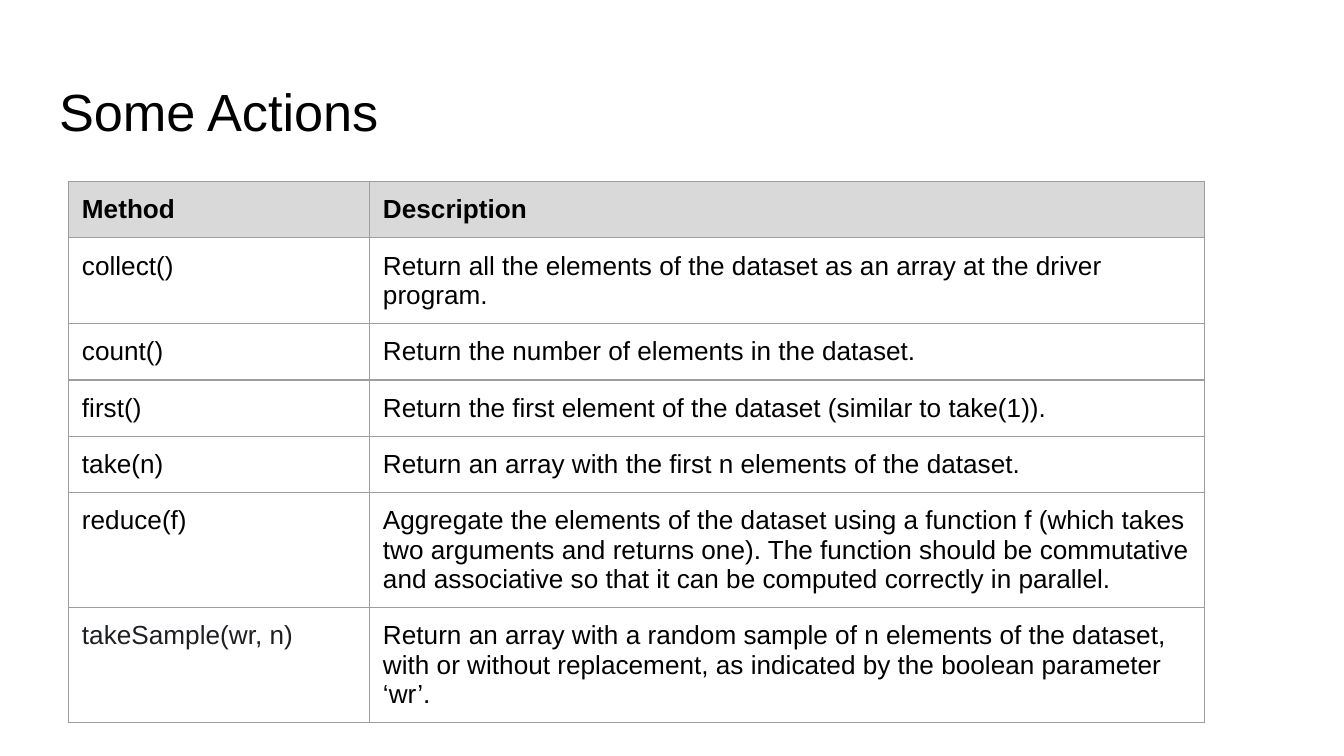
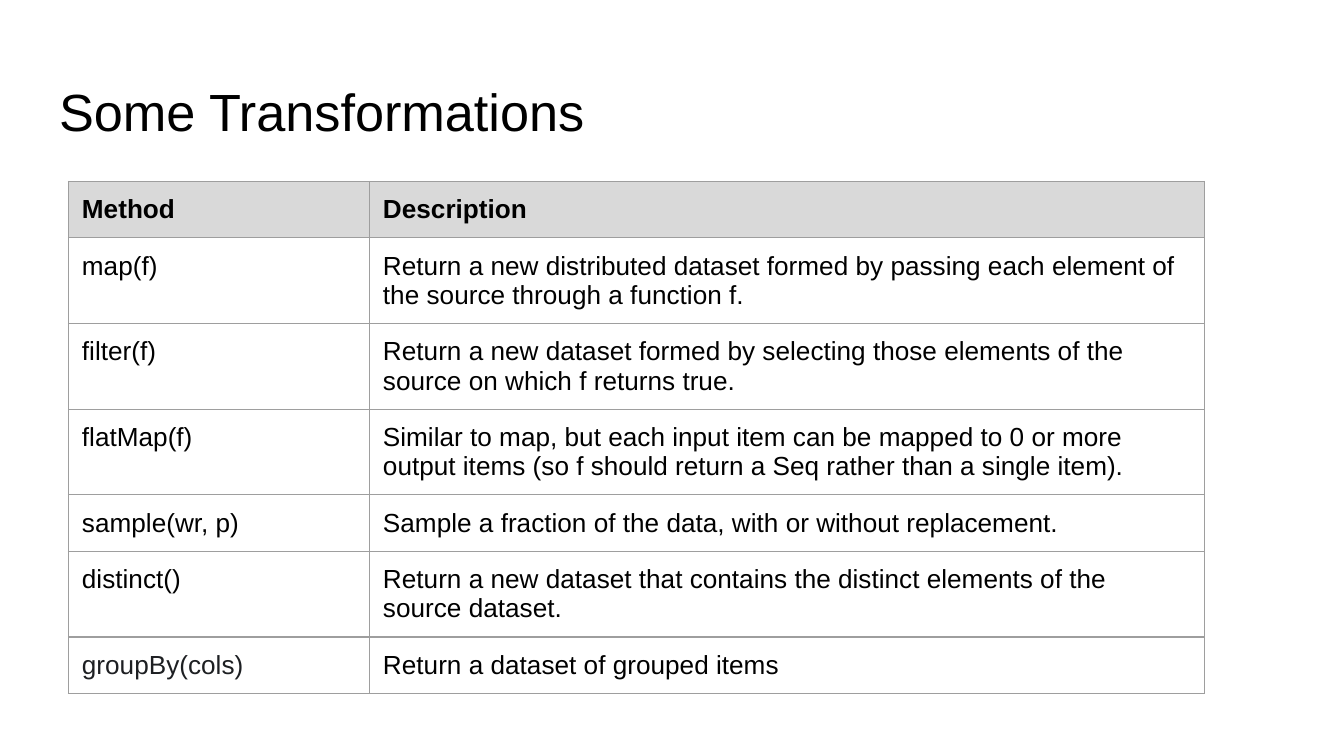
from lxml.etree import SubElement
from pptx import Presentation
from pptx.dml.color import RGBColor
from pptx.enum.text import MSO_ANCHOR, MSO_AUTO_SIZE, PP_ALIGN
from pptx.oxml.ns import qn
from pptx.util import Inches, Pt

HEADER = ("Method", "Description")
SLIDES = [
    ("Some Actions", [
        ("collect()", "Return all the elements of the dataset as an array at the driver program."),
        ("count()", "Return the number of elements in the dataset."),
        ("first()", "Return the first element of the dataset (similar to take(1))."),
        ("take(n)", "Return an array with the first n elements of the dataset."),
        ("reduce(f)", "Aggregate the elements of the dataset using a function f (which takes "
                      "two arguments and returns one). The function should be commutative and "
                      "associative so that it can be computed correctly in parallel."),
        ("takeSample(wr, n)", "Return an array with a random sample of n elements of the dataset, "
                              "with or without replacement, as indicated by the boolean "
                              "parameter ‘wr’."),
    ]),
    ("Some Transformations", [
        ("map(f)", "Return a new distributed dataset formed by passing each element of the "
                   "source through a function f."),
        ("filter(f)", "Return a new dataset formed by selecting those elements of the source "
                      "on which f returns true."),
        ("flatMap(f)", "Similar to map, but each input item can be mapped to 0 or more output "
                       "items (so f should return a Seq rather than a single item)."),
        ("sample(wr, p)", "Sample a fraction of the data, with or without replacement."),
        ("distinct()", "Return a new dataset that contains the distinct elements of the "
                       "source dataset."),
        ("groupBy(cols)", "Return a dataset of grouped items"),
    ]),
]

FONT = "Arial"
BLACK = RGBColor(0x00, 0x00, 0x00)
CHARCOAL = RGBColor(0x1D, 0x1F, 0x22)
HEADER_GREY = RGBColor(0xD9, 0xD9, 0xD9)
BORDER_GREY = RGBColor(0x9E, 0x9E, 0x9E)

SLIDE_WIDTH = Inches(10)
SLIDE_HEIGHT = SLIDE_WIDTH * 9 // 16
TITLE_BOX = [Inches(n) for n in (0.34, 0.49, 9.32, 0.63)]
TABLE_LEFT, TABLE_TOP = Inches(0.51), Inches(1.35)
COLUMNS = Inches(2.24), Inches(6.21)
ROW_HEIGHT = Inches(0.42)
INSET = Inches(0.1)


def set_insets(target):
    target.margin_left = target.margin_right = INSET
    target.margin_top = target.margin_bottom = INSET


def write(frame, text, size, color=BLACK, bold=False):
    paragraph = frame.paragraphs[0]
    paragraph.alignment = PP_ALIGN.LEFT
    run = paragraph.add_run()
    run.text = text
    font = run.font
    font.name, font.size, font.bold = FONT, Pt(size), bold
    font.color.rgb = color


def add_borders(cell):
    properties = cell._tc.get_or_add_tcPr()
    for side in ("lnL", "lnR", "lnT", "lnB"):
        line = SubElement(properties, qn(f"a:{side}"), w=str(Pt(0.75)))
        fill = SubElement(line, qn("a:solidFill"))
        SubElement(fill, qn("a:srgbClr"), val=str(BORDER_GREY))


def add_title(slide, text):
    title = slide.shapes.title
    title.left, title.top, title.width, title.height = TITLE_BOX
    frame = title.text_frame
    frame.word_wrap = True
    frame.auto_size = MSO_AUTO_SIZE.NONE
    frame.vertical_anchor = MSO_ANCHOR.TOP
    set_insets(frame)
    write(frame, text, 28)


def add_method_table(slide, methods):
    rows = [HEADER, *methods]
    table = slide.shapes.add_table(len(rows), len(COLUMNS), TABLE_LEFT, TABLE_TOP,
                                   sum(COLUMNS), ROW_HEIGHT * len(rows)).table
    table.first_row = table.horz_banding = False
    for column, width in zip(table.columns, COLUMNS):
        column.width = width
    for r, row in enumerate(rows):
        table.rows[r].height = ROW_HEIGHT
        for c, text in enumerate(row):
            cell = table.cell(r, c)
            set_insets(cell)
            cell.vertical_anchor = MSO_ANCHOR.TOP
            add_borders(cell)
            is_header = r == 0
            if is_header:
                cell.fill.solid()
                cell.fill.fore_color.rgb = HEADER_GREY
            else:
                cell.fill.background()
            is_last_method = r == len(methods) and c == 0
            write(cell.text_frame, text, 14,
                  CHARCOAL if is_last_method else BLACK, is_header)


def main():
    deck = Presentation()
    deck.slide_width, deck.slide_height = SLIDE_WIDTH, SLIDE_HEIGHT
    title_only = deck.slide_layouts[5]
    for title, methods in SLIDES:
        slide = deck.slides.add_slide(title_only)
        add_title(slide, title)
        add_method_table(slide, methods)
    deck.save("out.pptx")


if __name__ == "__main__":
    main()
